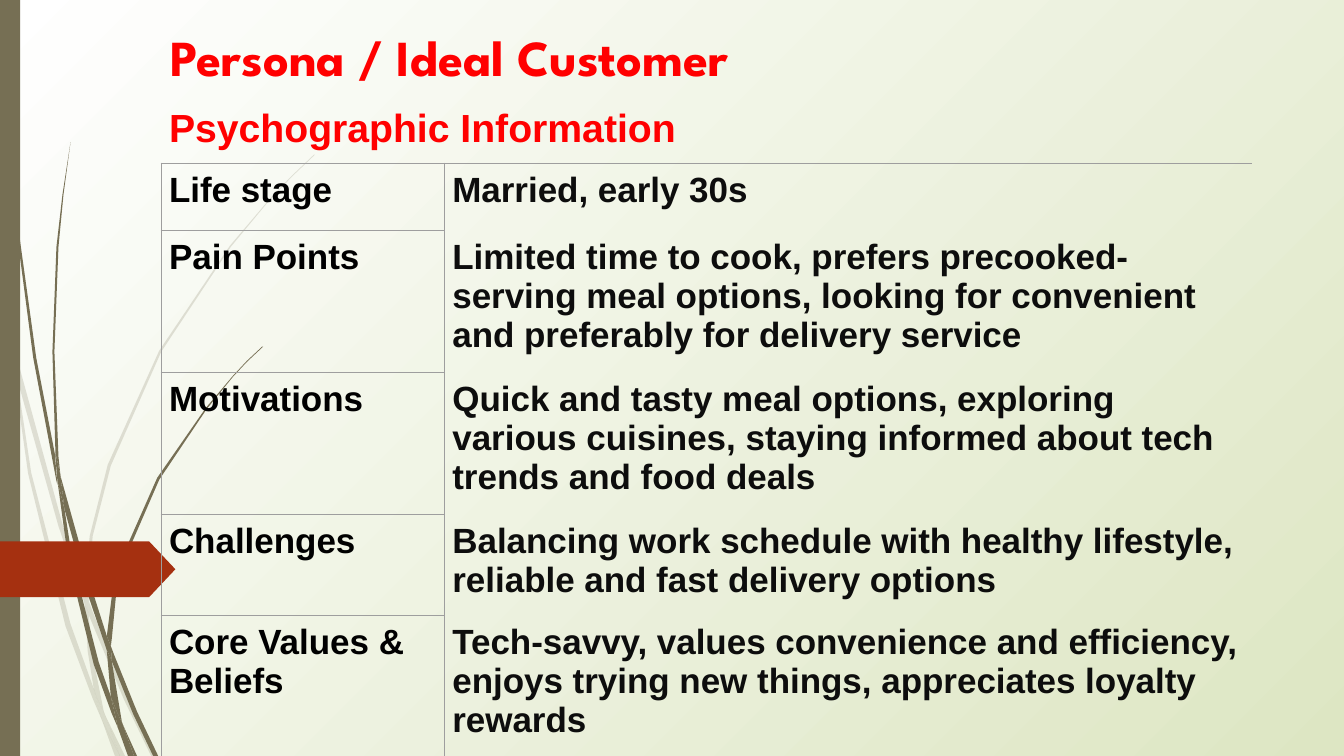
from lxml import etree
from pptx import Presentation
from pptx.dml.color import RGBColor
from pptx.enum.shapes import MSO_SHAPE
from pptx.oxml.ns import qn
from pptx.util import Cm, Pt

RECT = MSO_SHAPE.RECTANGLE
ARROW = MSO_SHAPE.PENTAGON
COLORS = {
    "white": "FFFFFF", "green": "DDE6C3", "olive": "766F54", "rust": "A53010",
    "red": "FF0000", "black": "000000", "ink": "0D0D0D", "grid": "9E9E9E",
}
HEAD = {"name": "Arial", "size": Pt(28), "bold": True}
BODY = {"name": "Arial", "size": Pt(25), "bold": True}
TITLE = {"name": "League Spartan", "size": Pt(36), "bold": True}


def paint(shape, color):
    shape.shadow.inherit = False
    shape.fill.solid()
    shape.fill.fore_color.rgb = RGBColor.from_string(COLORS[color])
    shape.line.fill.background()


def write(frame, text, form, color):
    run = frame.paragraphs[0].add_run()
    run.text = text
    for key, value in form.items():
        setattr(run.font, key, value)
    run.font.color.rgb = RGBColor.from_string(COLORS[color])


prs = Presentation()
prs.slide_width, prs.slide_height = Cm(33.87), Cm(19.05)
slide = prs.slides.add_slide(prs.slide_layouts[6])
shapes = slide.shapes

# Background: glow from the top left corner
back = slide.background.fill
back.gradient()
for stop, color in zip(back.gradient_stops, ("white", "green")):
    stop.color.rgb = RGBColor.from_string(COLORS[color])
lin = slide.element.find(".//" + qn("a:lin"))
glow = etree.Element(qn("a:path"), path="circle")
etree.SubElement(glow, qn("a:fillToRect"), r="100000", b="100000")
lin.getparent().replace(lin, glow)

# Grass blades: outlines in hundredths of an inch
UNIT = Cm(0.0254)
PALE = [
    [(11, 350), (9, 322), (0, 282), (0, 299), (10, 344)],
    [(58, 522), (84, 599), (85, 586), (62, 520), (14, 345), (17, 376)],
    [(92, 607), (88, 596), (88, 610), (123, 694), (150, 750), (155, 750),
     (127, 692)],
    [(119, 750), (124, 750), (105, 711)],
    [(93, 683), (70, 619), (31, 469), (17, 376), (11, 350), (28, 470),
     (65, 621), (92, 693), (101, 714), (99, 707)],
    [(84, 599), (87, 646), (93, 683), (96, 692), (105, 711), (103, 706),
     (91, 646), (88, 610), (88, 608)],
    [(88, 584), (92, 532), (110, 462), (160, 349), (229, 245), (268, 198),
     (290, 175), (312, 154), (312, 153), (289, 175), (268, 197), (228, 244),
     (158, 348), (107, 461), (89, 532), (85, 584), (85, 586), (88, 596)],
    [(101, 714), (114, 750), (119, 750)],
    [(88, 608), (88, 596), (85, 586), (84, 599)],
    [(96, 692), (93, 683), (99, 707), (101, 714), (119, 750), (105, 711)],
]
DARK = [
    [(7, 110), (17, 233), (33, 355), (56, 477), (57, 481), (55, 457),
     (55, 453), (36, 355), (19, 232), (8, 109), (5, 48), (4, 0), (3, 0),
     (4, 48)],
    [(88, 592), (106, 645), (106, 631), (93, 590), (60, 472), (64, 505)],
    [(113, 649), (110, 641), (111, 656), (132, 708), (152, 750), (157, 750),
     (136, 706)],
    [(110, 691), (98, 657), (72, 556), (64, 505), (57, 477), (68, 557),
     (93, 659), (111, 708), (117, 722), (116, 717)],
    [(60, 472), (58, 453), (54, 349), (58, 245), (63, 193), (70, 141),
     (62, 193), (56, 245), (52, 349), (55, 449)],
    [(133, 750), (136, 750), (122, 719)],
    [(57, 477), (64, 505), (60, 472), (55, 449), (55, 453)],
    [(111, 633), (115, 592), (125, 552), (158, 476), (205, 406), (231, 374),
     (245, 359), (261, 344), (260, 344), (245, 358), (231, 373), (204, 405),
     (156, 474), (122, 551), (111, 591), (106, 631), (110, 641)],
    [(117, 722), (127, 750), (131, 750)],
    [(106, 645), (110, 691), (116, 706), (122, 719), (121, 716), (111, 656),
     (109, 651)],
    [(106, 645), (109, 651), (111, 656), (110, 641), (106, 631)],
    [(116, 706), (110, 691), (116, 717), (117, 722), (130, 750), (133, 750),
     (122, 719)],
]
for blades, alpha in ((PALE, "20000"), (DARK, "100000")):
    for blade in blades:
        pen = shapes.build_freeform(*blade[0], scale=UNIT)
        pen.add_line_segments(blade[1:])
        leaf = pen.convert_to_shape()
        paint(leaf, "olive")
        tint = leaf.element.spPr.find(".//" + qn("a:srgbClr"))
        etree.SubElement(tint, qn("a:alpha"), val=alpha)

# Side bar and arrow tab
bar = shapes.add_shape(RECT, 0, 0, Cm(0.51), Cm(19.05))
paint(bar, "olive")
tab = shapes.add_shape(ARROW, 0, Cm(13.64), Cm(4.42), Cm(1.41))
tab.adjustments[0] = 0.47
paint(tab, "rust")

# Persona table
ROWS = [
    ("Psychographic Information", "", 1.6),
    ("Life stage", "Married, early 30s", 1.69),
    ("Pain Points", "Limited time to cook, prefers precooked-serving meal "
     "options, looking for convenient and preferably for delivery service",
     3.58),
    ("Motivations", "Quick and tasty meal options, exploring various "
     "cuisines, staying informed about tech trends and food deals", 3.58),
    ("Challenges", "Balancing work schedule with healthy lifestyle, "
     "reliable and fast delivery options", 2.54),
    ("Core Values & Beliefs", "Tech-savvy, values convenience and "
     "efficiency, enjoys trying new things, appreciates loyalty rewards",
     3.55),
]
WIDTHS = (7.14, 20.35)
high = sum(row[2] for row in ROWS)
table = shapes.add_table(len(ROWS), 2, Cm(4.06), Cm(2.51),
                         Cm(sum(WIDTHS)), Cm(high)).table
table.first_row = table.horz_banding = False
for col, width in zip(table.columns, WIDTHS):
    col.width = Cm(width)
table.cell(0, 0).merge(table.cell(0, 1))

for r, (label, value, tall) in enumerate(ROWS):
    table.rows[r].height = Cm(tall)
    for c, text in enumerate((label, value)):
        cell = table.cell(r, c)
        for side in ("left", "right", "top", "bottom"):
            setattr(cell, "margin_" + side, Cm(0.2))
        if text:
            color = "red" if r == 0 else ("black", "ink")[c]
            write(cell.text_frame, text, BODY if r else HEAD, color)
        # Label cells are boxed; the header has a line below
        if r == 0:
            edges = "B"
        elif c == 0:
            edges = "LRTB"
        else:
            edges = "LT" if r == 1 else "L"
        props = cell._tc.get_or_add_tcPr()
        for edge in "LRTB":
            line = etree.SubElement(props, qn("a:ln" + edge), w=str(Pt(0.75)))
            if edge in edges:
                fill = etree.SubElement(line, qn("a:solidFill"))
                etree.SubElement(fill, qn("a:srgbClr"), val=COLORS["grid"])
            else:
                etree.SubElement(line, qn("a:noFill"))
        cell.fill.background()

# Title
box = shapes.add_textbox(Cm(4.06), Cm(0.53), Cm(21.89), Cm(1.8))
box.text_frame.word_wrap = True
write(box.text_frame, "Persona / Ideal Customer", TITLE, "red")

prs.save("out.pptx")
